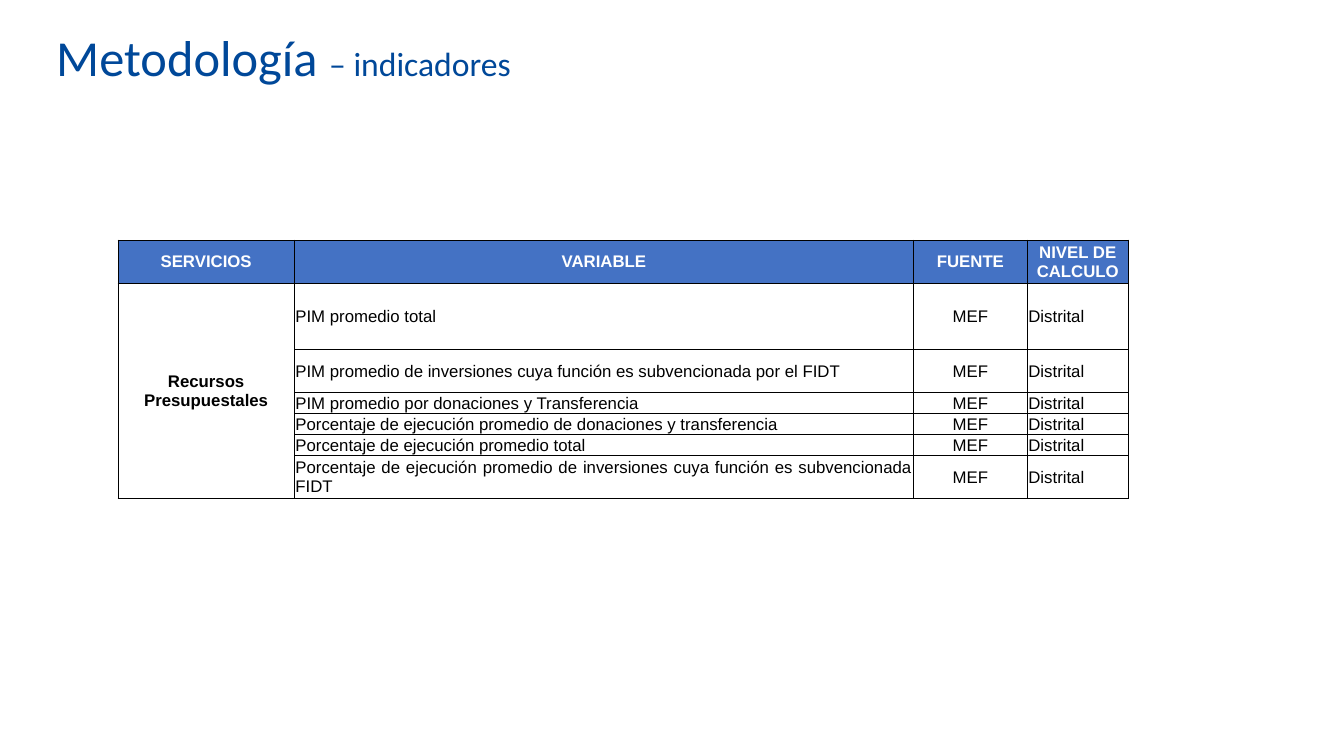
from lxml import etree
from pptx import Presentation
from pptx import util as u
from pptx.dml.color import RGBColor
from pptx.enum import text
from pptx.oxml import ns

HEADING = [("Metodología ", 36), ("– indicadores", 24)]
HEADERS = ["SERVICIOS", "VARIABLE", "FUENTE", "NIVEL DE CALCULO"]
SERVICE = "Recursos Presupuestales"
SOURCE = "MEF"
LEVEL = "Distrital"
VARIABLES = [
    ("PIM promedio total", 66),
    ("PIM promedio de inversiones cuya función es subvencionada por el FIDT", 42),
    ("PIM promedio por donaciones y Transferencia", 21),
    ("Porcentaje de ejecución promedio de donaciones y transferencia", 21),
    ("Porcentaje de ejecución promedio total", 21),
    ("Porcentaje de ejecución promedio de inversiones cuya función es subvencionada FIDT", 42),
]
COLUMN_WIDTHS = [175, 614, 113, 100]
HEADER_HEIGHT = 43

NAVY = RGBColor(0x00, 0x48, 0x99)
BLUE = RGBColor(0x44, 0x72, 0xC4)
WHITE = RGBColor(0xFF, 0xFF, 0xFF)
BLACK = RGBColor(0x00, 0x00, 0x00)
LEFT, CENTER, JUSTIFY = (
    text.PP_ALIGN.LEFT, text.PP_ALIGN.CENTER, text.PP_ALIGN.JUSTIFY)


def px(length):
    return u.Emu(length * 9144)


def add_borders(cell):
    properties = cell._tc.get_or_add_tcPr()
    for position, side in enumerate(("lnL", "lnR", "lnT", "lnB")):
        border = etree.Element(ns.qn(f"a:{side}"), w=str(u.Pt(0.5)))
        fill = etree.SubElement(border, ns.qn("a:solidFill"))
        etree.SubElement(fill, ns.qn("a:srgbClr"), val=str(BLACK))
        properties.insert(position, border)


def write_cell(cell, words, align, fill=None, color=BLACK, bold=False):
    cell.text_frame.text = words
    cell.vertical_anchor = text.MSO_ANCHOR.MIDDLE
    cell.margin_left = cell.margin_right = cell.margin_top = px(1)
    cell.margin_bottom = 0
    paragraph = cell.text_frame.paragraphs[0]
    paragraph.alignment = align
    for run in paragraph.runs:
        run.font.name = "Arial"
        run.font.size = u.Pt(12)
        run.font.bold = bold
        run.font.color.rgb = color
    if fill is None:
        cell.fill.background()
    else:
        cell.fill.solid()
        cell.fill.fore_color.rgb = fill


def add_heading(slide):
    heading = slide.shapes.add_textbox(px(46), px(16), px(1196), px(79))
    frame = heading.text_frame
    frame.word_wrap = True
    frame.vertical_anchor = text.MSO_ANCHOR.MIDDLE
    for words, size in HEADING:
        run = frame.paragraphs[0].add_run()
        run.text = words
        run.font.name = "Calibri"
        run.font.size = u.Pt(size)
        run.font.color.rgb = NAVY


def add_indicators(slide):
    heights = [HEADER_HEIGHT] + [height for _, height in VARIABLES]
    indicators = slide.shapes.add_table(
        len(heights), len(HEADERS), px(117), px(238),
        px(sum(COLUMN_WIDTHS)), px(sum(heights))).table
    indicators.first_row = False
    indicators.horz_banding = False
    for column, width in zip(indicators.columns, COLUMN_WIDTHS):
        column.width = px(width)
    for row, height in zip(indicators.rows, heights):
        row.height = px(height)

    for index, header in enumerate(HEADERS):
        write_cell(indicators.cell(0, index), header, CENTER, BLUE, WHITE, True)
    service = indicators.cell(1, 0)
    service.merge(indicators.cell(len(VARIABLES), 0))
    write_cell(service, SERVICE, CENTER, WHITE, bold=True)
    for index, (variable, _) in enumerate(VARIABLES, 1):
        write_cell(indicators.cell(index, 1), variable, JUSTIFY, WHITE)
        write_cell(indicators.cell(index, 2), SOURCE, CENTER, WHITE)
        write_cell(indicators.cell(index, 3), LEVEL, LEFT)
    for cell in indicators.iter_cells():
        add_borders(cell)


def main():
    deck = Presentation()
    deck.slide_width, deck.slide_height = px(1333), px(750)
    slide = deck.slides.add_slide(deck.slide_layouts[6])
    add_heading(slide)
    add_indicators(slide)
    deck.save("out.pptx")


if __name__ == "__main__":
    main()
